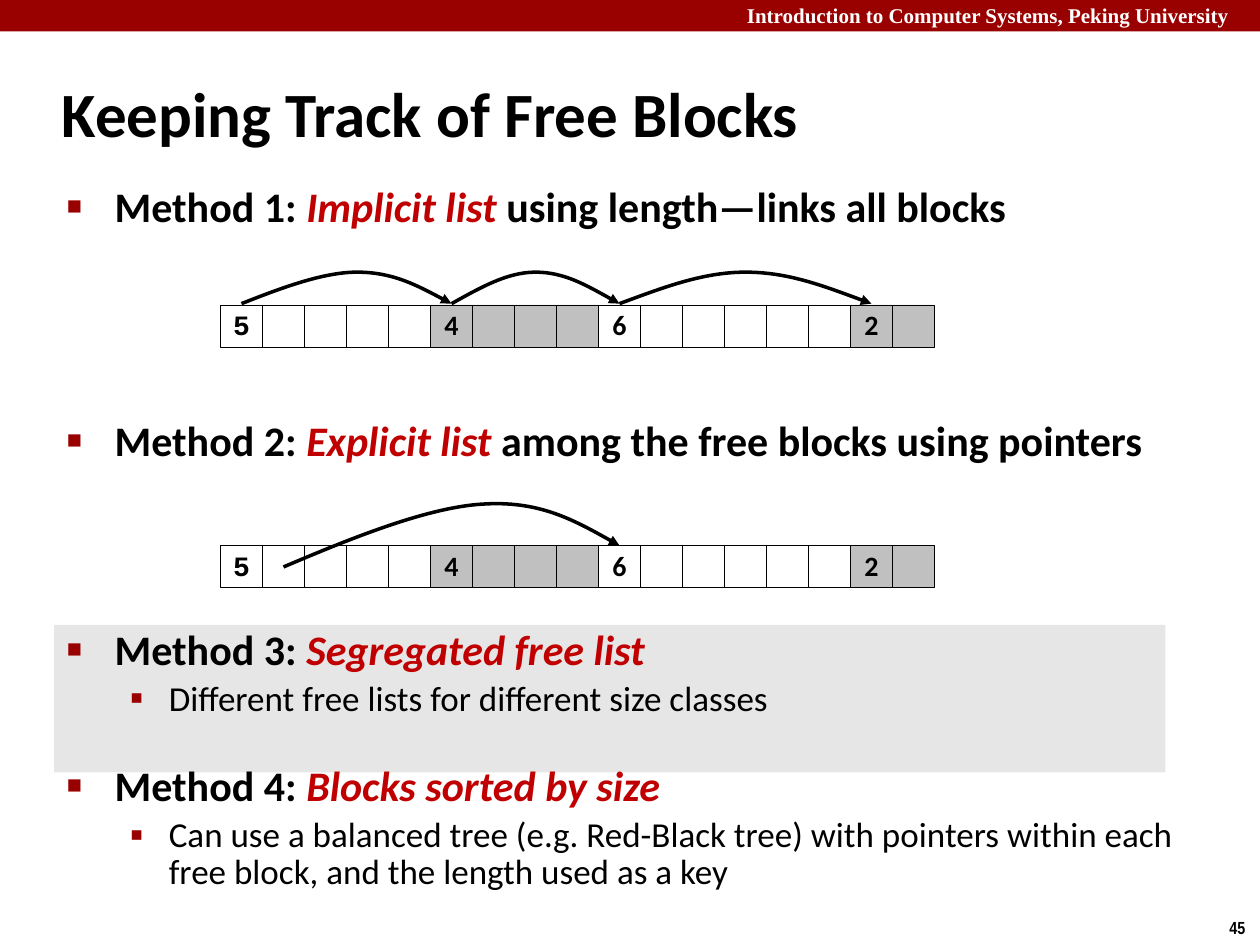
"""Build the slide on keeping track of free blocks."""
from lxml.etree import SubElement
from pptx import Presentation
from pptx.dml.color import RGBColor
from pptx.enum.shapes import MSO_SHAPE
from pptx.enum.text import MSO_ANCHOR, MSO_AUTO_SIZE, PP_ALIGN
from pptx.oxml.ns import qn
from pptx.util import Inches, Pt

BLACK, WHITE, CRIMSON, ACCENT = "000000", "FFFFFF", "990000", "C00000"
GREY, PALE = "C0C0C0", "E6E6E6"
WIDTH, HEIGHT = 10, 7.5
CELL, ROW_LEFT = 1 / 3, 1.75

COURSE = "Introduction to Computer Systems, Peking University"
HEADING = "Keeping Track of Free Blocks"
PAGE = "45"

# level, space before, line spacing, plain lead, accented name, plain ending
METHODS = [
    (0, 0, 1, "Method 1: ", "Implicit list ", "using length—links all blocks"),
    (0, 105, 1, "Method 2: ", "Explicit list ", "among the free blocks using pointers"),
    (0, 95.5, 0.83, "Method 3: ", "Segregated free list", ""),
    (1, 4.5, 0.88, "Different free lists for different size classes", "", ""),
    (0, 28.3, 0.83, "Method 4: ", "Blocks sorted by size", ""),
    (1, 4.5, 0.88, "Can use a balanced tree (e.g. Red-Black tree) with pointers within each "
                   "free block, and the length used as a key", "", ""),
]
LEVELS = [
    {"marL": 0.38, "indent": -0.38, "char": "■", "percent": 60, "size": 24, "bold": True},
    {"marL": 0.81, "indent": -0.31, "char": "▪", "percent": 110, "size": 20, "bold": False},
]

BLOCKS = [(5, WHITE, "Courier New", 0.94), (4, GREY, "Calibri", 0.98),
          (6, WHITE, "Calibri", 0.98), (2, GREY, "Calibri", 0.98)]
HEAP_TOPS = [2.42, 4.33]

EVEN = [(0.17, 0.5), (0.33, 1), (0.5, 1), (0.67, 1), (0.83, 0.5), (1, 0)]
LEANING = [(0.19, 0.5), (0.39, 1), (0.55, 1), (0.72, 1), (0.86, 0.5), (1, 0)]
RISING = [(0.21, 0.45), (0.43, 0.89), (0.59, 0.94), (0.76, 1), (0.88, 0.66), (1, 0.32)]
LINKS = [(0, 5, 2.41, 0.25, LEANING), (5, 9, 2.41, 0.25, EVEN),
         (9, 15, 2.41, 0.25, EVEN), (1, 9, 4.5, 0.53, RISING)]


def rgb(value):
    return RGBColor.from_string(value)


def apply(target, values):
    for name, value in values.items():
        setattr(target, name, value)


def style(font, size, color=BLACK, name="Calibri", bold=True, italic=False):
    apply(font, {"size": Pt(size), "name": name, "bold": bold, "italic": italic})
    font.color.rgb = rgb(color)


def place(part, left, top, width, height):
    apply(part, {"left": Inches(left), "top": Inches(top),
                 "width": Inches(width), "height": Inches(height)})


def add_box(slide, frame, fill, outline=None):
    box = slide.shapes.add_shape(MSO_SHAPE.RECTANGLE, *map(Inches, frame))
    box.shadow.inherit = False
    box.fill.solid()
    box.fill.fore_color.rgb = rgb(fill)
    if outline:
        box.line.color.rgb = rgb(outline)
        box.line.width = Pt(0.25)
    else:
        box.line.fill.background()
    return box


def add_label(slide, frame, text, wrap, **font):
    label = slide.shapes.add_textbox(*map(Inches, frame)).text_frame
    label.word_wrap = wrap
    label.text = text
    style(label.paragraphs[0].runs[0].font, **font)


def add_bullet(paragraph, level):
    properties = paragraph._p.get_or_add_pPr()
    for side in ("marL", "indent"):
        properties.set(side, str(Inches(level[side])))
    color = SubElement(properties, qn("a:buClr"))
    SubElement(color, qn("a:srgbClr")).set("val", CRIMSON)
    SubElement(properties, qn("a:buSzPct")).set("val", str(level["percent"] * 1000))
    SubElement(properties, qn("a:buChar")).set("char", level["char"])


def fill_methods(frame):
    apply(frame, {"auto_size": MSO_AUTO_SIZE.NONE, "word_wrap": True,
                  "vertical_anchor": MSO_ANCHOR.TOP, "margin_top": Inches(0.06)})
    for index, (depth, before, spacing, lead, name, ending) in enumerate(METHODS):
        paragraph = frame.add_paragraph() if index else frame.paragraphs[0]
        level = LEVELS[depth]
        add_bullet(paragraph, level)
        apply(paragraph, {"level": depth, "space_before": Pt(before), "space_after": Pt(0),
                          "line_spacing": spacing, "alignment": PP_ALIGN.LEFT})
        for text, accented in ((lead, False), (name, True), (ending, False)):
            if text:
                run = paragraph.add_run()
                run.text = text
                style(run.font, level["size"], ACCENT if accented else BLACK,
                      bold=level["bold"], italic=accented)


def add_heap(slide, top):
    column = 0
    for length, fill, font_name, spacing in BLOCKS:
        for offset in range(length):
            cell = add_box(slide, (ROW_LEFT + column * CELL, top, CELL, CELL), fill, BLACK)
            column += 1
            if offset == 0:
                frame = cell.text_frame
                apply(frame, {"word_wrap": False, "vertical_anchor": MSO_ANCHOR.MIDDLE,
                              "text": str(length)})
                header = frame.paragraphs[0]
                apply(header, {"alignment": PP_ALIGN.CENTER, "line_spacing": spacing})
                style(header.runs[0].font, 16, name=font_name)


def add_link(slide, source, target, base, rise, profile):
    start = ROW_LEFT + (source + 0.5) * CELL
    span = (target - source) * CELL
    points = [(Inches(start + x * span), Inches(base - y * rise)) for x, y in profile]
    builder = slide.shapes.build_freeform(Inches(start), Inches(base))
    builder.add_line_segments(points, close=False)
    link = builder.convert_to_shape()
    link.shadow.inherit = False
    link.fill.background()
    link.line.color.rgb = rgb(BLACK)
    link.line.width = Pt(2)
    SubElement(link.element.spPr.find(qn("a:ln")), qn("a:tailEnd")).set("type", "triangle")
    outline = link.element.xpath(".//a:path")[0]
    segments = outline.findall(qn("a:lnTo"))
    for first in range(0, len(segments), 3):
        curve = SubElement(outline, qn("a:cubicBezTo"))
        for segment in segments[first:first + 3]:
            curve.append(segment[0])
            outline.remove(segment)


def main():
    deck = Presentation()
    apply(deck, {"slide_width": Inches(WIDTH), "slide_height": Inches(HEIGHT)})
    slide = deck.slides.add_slide(deck.slide_layouts[1])
    title, body = slide.placeholders

    add_box(slide, (0, 0, WIDTH, 0.25), CRIMSON)
    add_label(slide, (5.83, -0.03, 4.17, 0.3), COURSE, True,
              size=12, color=WHITE, name="Times New Roman")
    add_label(slide, (9.66, 7.23, 0.34, 0.27), PAGE, False, size=10, name="Arial Narrow")
    highlight = add_box(slide, (0.43, 4.96, 8.82, 1.17), PALE)
    title.element.addprevious(highlight.element)

    place(title, 0.39, 0.48, 8.3, 0.83)
    apply(title.text_frame, {"text": HEADING, "auto_size": MSO_AUTO_SIZE.NONE,
                             "vertical_anchor": MSO_ANCHOR.MIDDLE})
    title.text_frame.paragraphs[0].alignment = PP_ALIGN.LEFT
    style(title.text_frame.paragraphs[0].runs[0].font, 36)
    place(body, 0.43, 1.37, 9.07, 5.88)
    fill_methods(body.text_frame)

    for top in HEAP_TOPS:
        add_heap(slide, top)
    for link in LINKS:
        add_link(slide, *link)
    deck.save("out.pptx")


if __name__ == "__main__":
    main()
